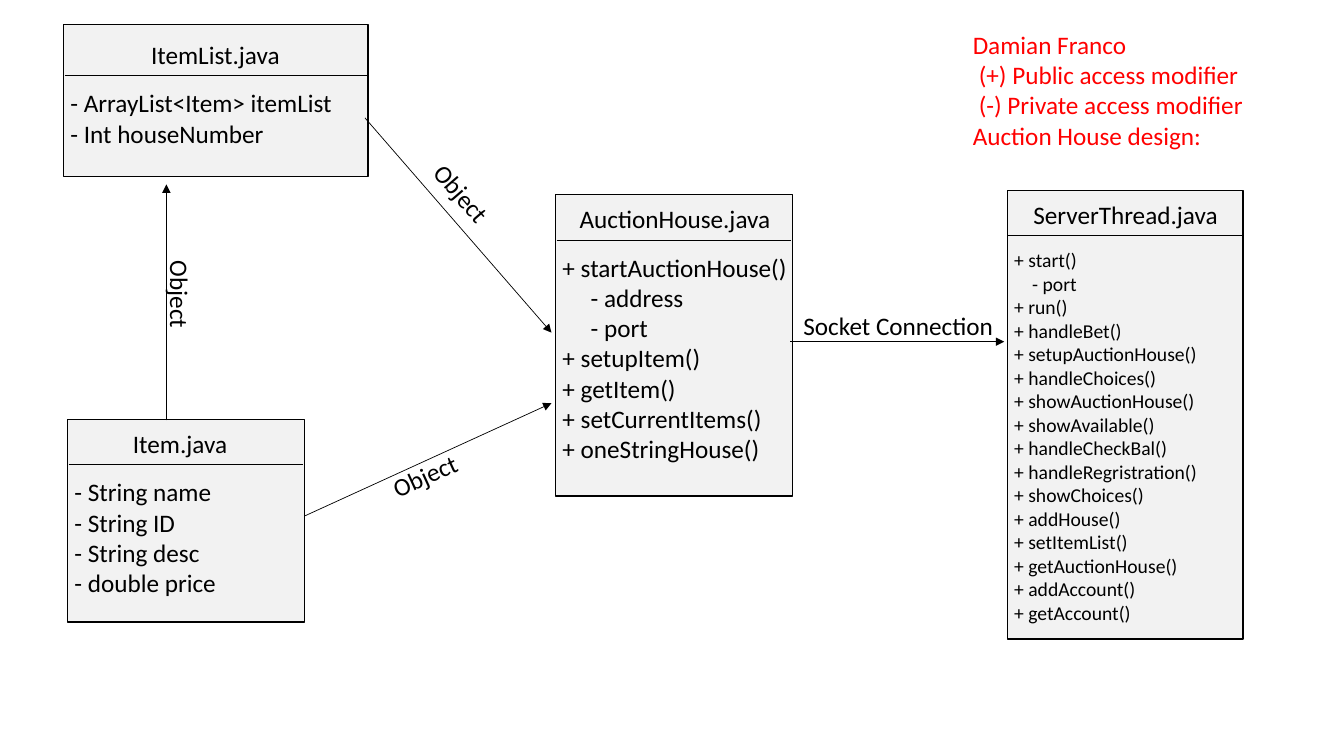
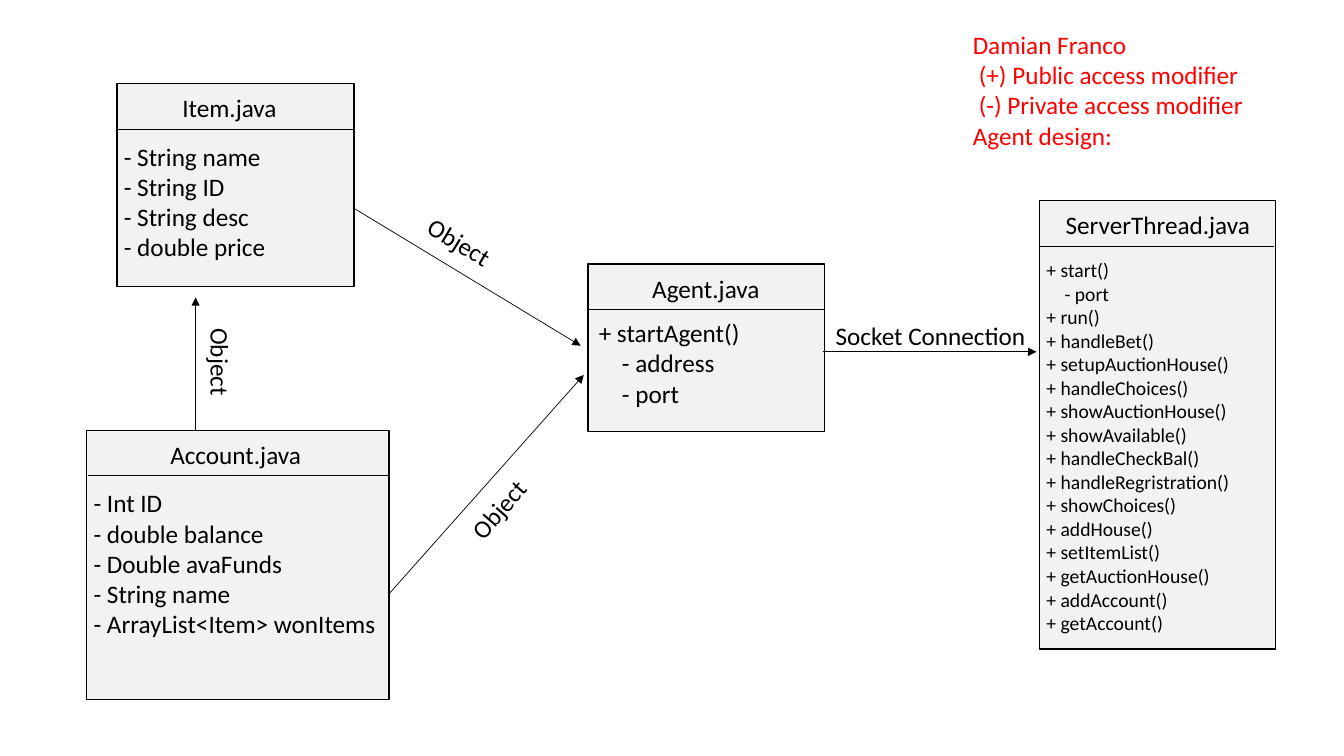
from dataclasses import dataclass

from lxml import etree
from pptx import Presentation
from pptx.dml.color import RGBColor
from pptx.enum.shapes import MSO_CONNECTOR, MSO_SHAPE
from pptx.enum.text import MSO_AUTO_SIZE
from pptx.oxml.ns import qn
from pptx.util import Inches, Pt

RECTANGLE = MSO_SHAPE.RECTANGLE
STRAIGHT = MSO_CONNECTOR.STRAIGHT
FIT_TEXT = MSO_AUTO_SIZE.SHAPE_TO_FIT_TEXT
BLANK_LAYOUT = 6


@dataclass(frozen=True)
class Theme:
    font: str = "Calibri"
    ink: RGBColor = RGBColor(0x00, 0x00, 0x00)
    card_fill: RGBColor = RGBColor(0xF2, 0xF2, 0xF2)
    legend: RGBColor = RGBColor(0xFF, 0x00, 0x00)
    text_size: int = 18
    small_size: int = 14
    border: float = 1
    hairline: float = 0.5


ITEM_FIELDS = ["- String name", "- String ID", "- String desc", "- double price"]
SERVER_METHODS = [
    "+ start()", "- port", "+ run()", "+ handleBet()", "+ setupAuctionHouse()",
    "+ handleChoices()", "+ showAuctionHouse()", "+ showAvailable()",
    "+ handleCheckBal()", "+ handleRegristration()", "+ showChoices()",
    "+ addHouse()", "+ setItemList()", "+ getAuctionHouse()", "+ addAccount()",
    "+ getAccount()",
]


class ClassDiagram:
    def __init__(self, presentation, theme):
        self.presentation = presentation
        self.theme = theme
        self.slide = None

    def new_slide(self):
        layout = self.presentation.slide_layouts[BLANK_LAYOUT]
        self.slide = self.presentation.slides.add_slide(layout)

    def text(self, lines, left, top, width, size=None, color=None, rotation=0,
             indent=0, indented=()):
        """Write one paragraph a line; the line numbers in indented are set in by indent."""
        size = size or self.theme.text_size
        height = 0.1 + len(lines) * size * 1.22 / 72
        box = self.slide.shapes.add_textbox(
            Inches(left), Inches(top), Inches(width), Inches(height))
        box.rotation = rotation
        frame = box.text_frame
        frame.word_wrap = True
        frame.auto_size = FIT_TEXT
        for number, line in enumerate(lines):
            paragraph = frame.add_paragraph() if number else frame.paragraphs[0]
            if number in indented:
                paragraph._p.get_or_add_pPr().set("marL", str(Inches(indent)))
            run = paragraph.add_run()
            run.text = line
            run.font.name = self.theme.font
            run.font.size = Pt(size)
            run.font.color.rgb = color or self.theme.ink

    def line(self, start, end, arrow=False):
        x1, y1, x2, y2 = (Inches(value) for value in (*start, *end))
        connector = self.slide.shapes.add_connector(STRAIGHT, x1, y1, x2, y2)
        connector.line.color.rgb = self.theme.ink
        connector.line.width = Pt(self.theme.hairline)
        if arrow:
            outline = connector.line._get_or_add_ln()
            etree.SubElement(outline, qn("a:tailEnd"), type="triangle")
        etree.SubElement(connector._element.spPr, qn("a:effectLst"))

    def arrow(self, start, end):
        self.line(start, end, arrow=True)

    def object_label(self, left, top, rotation):
        self.text(["Object"], left, top, 2.15, rotation=rotation)

    def card(self, name, left, top, width, height, name_inset, members,
             header=0.45, body_shift=(-0.03, 0.07), **member_format):
        """Draw a class as a box with its name above a rule and its members below."""
        shape = self.slide.shapes.add_shape(
            RECTANGLE, Inches(left), Inches(top), Inches(width), Inches(height))
        shape.shadow.inherit = False
        shape.fill.solid()
        shape.fill.fore_color.rgb = self.theme.card_fill
        shape.line.color.rgb = self.theme.ink
        shape.line.width = Pt(self.theme.border)
        rule = top + header
        self.line((left + 0.01, rule), (left + width - 0.01, rule))
        self.text([name], left + name_inset, rule - 0.41, 2.19)
        shift_x, shift_y = body_shift
        self.text(members, left + shift_x, rule + shift_y, width + 0.4, **member_format)

    def item_card(self, left, top):
        self.card("Item.java", left, top, 2.35, 2.01, 0.55, ITEM_FIELDS)

    def server_connection(self, left, top):
        """Draw the server thread card and the socket arrow that leads to it."""
        self.card("ServerThread.java", left, top, 2.34, 4.45, 0.16, SERVER_METHODS,
                  size=self.theme.small_size, indent=0.18, indented=(1,))
        self.arrow((left - 2.15, top + 1.5), (left - 0.03, top + 1.5))
        self.text(["Socket Connection"], left - 2.12, top + 1.14, 2.53)

    def legend(self, design):
        lines = ["Damian Franco", "(+) Public access modifier",
                 "(-) Private access modifier", f"{design} design:"]
        self.text(lines, 9.55, 0.24, 3.1, color=self.theme.legend,
                  indent=0.06, indented=(1, 2))


def auction_house_slide(diagram):
    diagram.new_slide()
    diagram.legend("Auction House")
    diagram.card("AuctionHouse.java", 5.51, 1.93, 2.35, 2.99, 0.14,
                 ["+ startAuctionHouse()", "- address", "- port", "+ setupItem()",
                  "+ getItem()", "+ setCurrentItems()", "+ oneStringHouse()"],
                 indent=0.28, indented=(1, 2))
    diagram.card("ItemList.java", 0.63, 0.24, 3.02, 1.51, 0.77,
                 ["- ArrayList<Item> itemList", "- Int houseNumber"], header=0.51)
    diagram.item_card(0.67, 4.16)
    diagram.server_connection(9.99, 1.89)
    diagram.arrow((3.02, 5.12), (5.47, 4))
    diagram.arrow((3.62, 1.17), (5.47, 3.3))
    diagram.arrow((1.65, 4.17), (1.65, 1.83))
    diagram.object_label(3.92, 2.2, 49.2)
    diagram.object_label(3.72, 4.25, 335.4)
    diagram.object_label(0.71, 3.36, 90)


def agent_slide(diagram):
    diagram.new_slide()
    diagram.legend("Agent")
    diagram.card("Agent.java", 5.83, 2.62, 2.35, 1.66, 0.54,
                 ["+ startAgent()", "- address", "- port"],
                 body_shift=(0.01, 0.03), indent=0.23, indented=(1, 2))
    diagram.card("Account.java", 0.86, 4.27, 3, 2.67, 0.73,
                 ["- Int ID", "- double balance", "- Double avaFunds",
                  "- String name", "- ArrayList<Item> wonItems"])
    diagram.item_card(1.16, 0.83)
    diagram.server_connection(10.31, 1.99)
    diagram.arrow((1.94, 4.27), (1.94, 2.95))
    diagram.arrow((3.86, 5.89), (5.79, 3.72))
    diagram.arrow((3.5, 2.06), (5.76, 3.43))
    diagram.object_label(1.11, 4.03, 90)
    diagram.object_label(4.29, 4.37, 311)
    diagram.object_label(4.03, 2.53, 31.1)


def main():
    presentation = Presentation()
    presentation.slide_width = Inches(13.33)
    presentation.slide_height = Inches(7.5)
    diagram = ClassDiagram(presentation, Theme())
    auction_house_slide(diagram)
    agent_slide(diagram)
    presentation.save("out.pptx")


if __name__ == "__main__":
    main()
